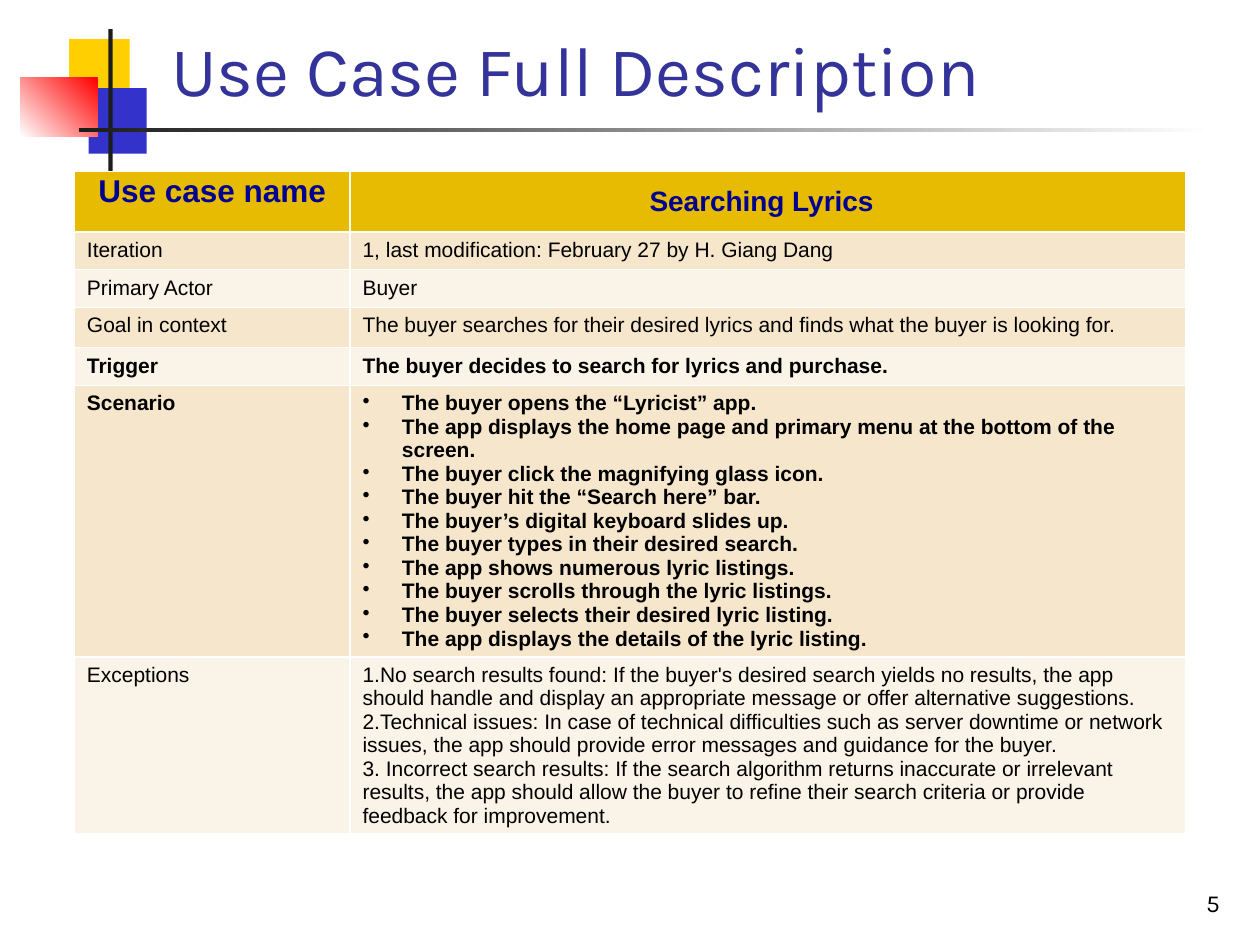
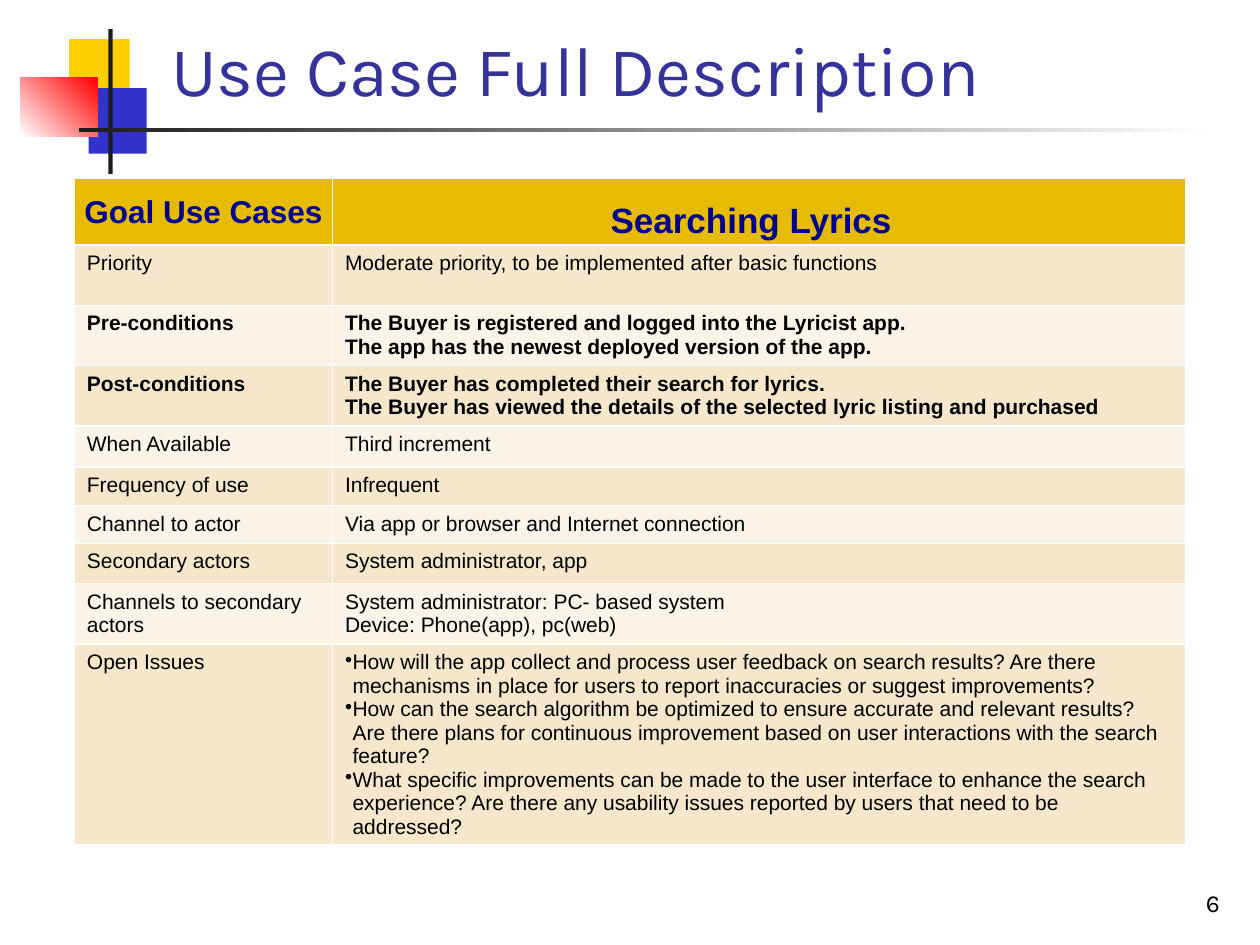
import dataclasses

import lxml.etree
import pptx
import pptx.dml.color
import pptx.enum.shapes
import pptx.enum.text
import pptx.oxml.ns
import pptx.util

Pt = pptx.util.Pt
Align = pptx.enum.text.PP_ALIGN
Anchor = pptx.enum.text.MSO_ANCHOR


@dataclasses.dataclass(frozen=True)
class Theme:
    heading_font: str = "Karla"
    body_font: str = "Arial"
    title_size: float = 40
    number_size: float = 14
    body_size: float = 12
    title: str = "333399"
    text: str = "000000"
    header_text: str = "000090"
    header_fill: str = "E7BB01"
    bands: tuple = ("F6E7CC", "FAF3E7")
    yellow: str = "FFCF01"
    blue: str = "3333CC"
    red: str = "FF0000"
    dark: str = "1C1C1C"
    white: str = "FFFFFF"


@dataclasses.dataclass(frozen=True)
class HeaderCell:
    text: str
    size: float
    anchor: Anchor = Anchor.TOP
    top: float = 0
    right: float = 5


@dataclasses.dataclass(frozen=True)
class Row:
    height: float
    label: str
    lines: tuple
    bold: bool = False
    bullet_indent: tuple = ()  # left margin, first line


@dataclasses.dataclass(frozen=True)
class UseCase:
    number: int
    top: float
    columns: tuple
    header_height: float
    header: tuple
    rows: tuple


THEME = Theme()
TITLE = "Use Case Full Description"
TITLE_BOX = (90.7, 16.6, 613.4, 50.4)
NUMBER_BOX = (554.4, 491.8, 149.8, 36)
MARK_ORIGIN = (11.5, 16.6)
TABLE_LEFT = 42.5

USE_CASES = (
    UseCase(
        5, 98, (157.5, 477.5), 34.5,
        (HeaderCell("Use case name", 18),
         HeaderCell("Searching Lyrics", 16, top=7, right=12)),
        (
            Row(21.6, "Iteration", ("1, last modification: February 27 by H. Giang Dang",)),
            Row(21.6, "Primary Actor", ("Buyer",)),
            Row(23, "Goal in context", (
                "The buyer searches for their desired lyrics and finds what the buyer is looking for.",)),
            Row(21.6, "Trigger", ("The buyer decides to search for lyrics and purchase.",), True),
            Row(154.8, "Scenario", (
                "The buyer opens the “Lyricist” app.",
                "The app displays the home page and primary menu at the bottom of the screen.",
                "The buyer click the magnifying glass icon.",
                "The buyer hit the “Search here” bar.",
                "The buyer’s digital keyboard slides up.",
                "The buyer types in their desired search.",
                "The app shows numerous lyric listings.",
                "The buyer scrolls through the lyric listings.",
                "The buyer selects their desired lyric listing.",
                "The app displays the details of the lyric listing.",
            ), True, (22.5, -22.5)),
            Row(101, "Exceptions", (
                "1.No search results found: If the buyer's desired search yields no results, the app "
                "should handle and display an appropriate message or offer alternative suggestions.",
                "2.Technical issues: In case of technical difficulties such as server downtime or network "
                "issues, the app should provide error messages and guidance for the buyer.",
                "3. Incorrect search results: If the search algorithm returns inaccurate or irrelevant "
                "results, the app should allow the buyer to refine their search criteria or provide "
                "feedback for improvement.")),
        ),
    ),
    UseCase(
        6, 102, (147.5, 487.5), 38,
        (HeaderCell("Goal Use Cases", 18, Anchor.MIDDLE),
         HeaderCell("Searching Lyrics", 20, top=11.5, right=14)),
        (
            Row(34.5, "Priority", ("Moderate priority, to be implemented after basic functions",)),
            Row(34.5, "Pre-conditions", (
                "The Buyer is registered and logged into the Lyricist app.",
                "The app has the newest deployed version of the app."), True),
            Row(34.5, "Post-conditions", (
                "The Buyer has completed their search for lyrics.",
                "The Buyer has viewed the details of the selected lyric listing and purchased"), True),
            Row(23.5, "When Available", ("Third increment",)),
            Row(22, "Frequency of use", ("Infrequent",)),
            Row(21.6, "Channel to actor", ("Via app or browser and Internet connection",)),
            Row(23, "Secondary actors", ("System administrator, app",)),
            Row(34.5, "Channels to secondary actors", (
                "System administrator: PC- based system",
                "Device: Phone(app), pc(web)")),
            Row(114, "Open Issues", (
                "How will the app collect and process user feedback on search results? Are there "
                "mechanisms in place for users to report inaccuracies or suggest improvements?",
                "How can the search algorithm be optimized to ensure accurate and relevant results? "
                "Are there plans for continuous improvement based on user interactions with the "
                "search feature?",
                "What specific improvements can be made to the user interface to enhance the search "
                "experience? Are there any usability issues reported by users that need to be "
                "addressed?"), bullet_indent=(4.3, -8.6)),
        ),
    ),
)


def rgb(value):
    return pptx.dml.color.RGBColor.from_string(value)


def add_run(paragraph, text, size, color, font, bold=False):
    run = paragraph.add_run()
    run.text = text
    run.font.size = Pt(size)
    run.font.name = font
    run.font.bold = bold
    run.font.color.rgb = rgb(color)


def set_bullet(paragraph, left, first_line):
    properties = paragraph._p.get_or_add_pPr()
    properties.set("marL", str(Pt(left)))
    properties.set("indent", str(Pt(first_line)))
    bullet = lxml.etree.SubElement(properties, pptx.oxml.ns.qn("a:buChar"))
    bullet.set("char", "•")


def fill_cell(cell, color):
    cell.fill.solid()
    cell.fill.fore_color.rgb = rgb(color)


def add_block(slide, box, colors, angle=0):
    """Rectangle with one colour, or two for a gradient."""
    shape = slide.shapes.add_shape(
        pptx.enum.shapes.MSO_SHAPE.RECTANGLE, *(Pt(length) for length in box))
    shape.shadow.inherit = False
    shape.line.fill.background()
    if len(colors) == 1:
        shape.fill.solid()
        shape.fill.fore_color.rgb = rgb(colors[0])
        return
    shape.fill.gradient()
    shape.fill.gradient_angle = angle
    for stop, color in zip(shape.fill.gradient_stops, colors):
        stop.color.rgb = rgb(color)


def add_mark(slide, left, top):
    """Overlapping squares, upright bar and fading rule."""
    for (x, y, width, height), colors, angle in (
        ((28, 5.8, 34.6, 37.4), (THEME.yellow,), 0),
        ((39.2, 33.8, 33.1, 37.4), (THEME.blue,), 0),
        ((0, 28, 44.3, 33.5), (THEME.white, THEME.red), 45),
        ((50.4, 0, 2.4, 82.8), (THEME.dark,), 0),
        ((33.4, 56.5, 648, 2.4), (THEME.dark, THEME.white), 0),
    ):
        add_block(slide, (left + x, top + y, width, height), colors, angle)


def format_text_frame(shape, alignment):
    frame = shape.text_frame
    frame.word_wrap = True
    frame.auto_size = pptx.enum.text.MSO_AUTO_SIZE.NONE
    frame.vertical_anchor = Anchor.BOTTOM
    frame.paragraphs[0].alignment = alignment
    return frame.paragraphs[0]


def place_title(slide, box):
    title = slide.shapes.title
    title.left, title.top, title.width, title.height = (Pt(length) for length in box)
    paragraph = format_text_frame(title, Align.LEFT)
    add_run(paragraph, TITLE, THEME.title_size, THEME.title, THEME.heading_font)


def add_number(slide, box, number):
    shape = slide.shapes.add_textbox(*(Pt(length) for length in box))
    paragraph = format_text_frame(shape, Align.RIGHT)
    add_run(paragraph, str(number), THEME.number_size, THEME.text, THEME.heading_font)


def write_header(cell, header):
    fill_cell(cell, THEME.header_fill)
    cell.vertical_anchor = header.anchor
    cell.margin_left, cell.margin_right = Pt(5), Pt(header.right)
    cell.margin_top, cell.margin_bottom = Pt(header.top), Pt(0)
    paragraph = cell.text_frame.paragraphs[0]
    paragraph.alignment = Align.CENTER
    paragraph.line_spacing = 1.07
    add_run(paragraph, header.text, header.size, THEME.header_text, THEME.body_font, True)


def write_body(cell, lines, row, band, bullet_indent=()):
    fill_cell(cell, band)
    frame = cell.text_frame
    for index, line in enumerate(lines):
        paragraph = frame.add_paragraph() if index else frame.paragraphs[0]
        if bullet_indent:
            set_bullet(paragraph, *bullet_indent)
        add_run(paragraph, line, THEME.body_size, THEME.text, THEME.body_font, row.bold)


def add_use_case_table(slide, left, top, use_case):
    heights = [use_case.header_height] + [row.height for row in use_case.rows]
    table = slide.shapes.add_table(
        len(heights), len(use_case.columns), Pt(left), Pt(top),
        Pt(sum(use_case.columns)), Pt(sum(heights))).table
    for column, width in zip(table.columns, use_case.columns):
        column.width = Pt(width)
    for table_row, height in zip(table.rows, heights):
        table_row.height = Pt(height)
    for index, header in enumerate(use_case.header):
        write_header(table.cell(0, index), header)
    for index, row in enumerate(use_case.rows):
        band = THEME.bands[index % 2]
        write_body(table.cell(index + 1, 0), (row.label,), row, band)
        write_body(table.cell(index + 1, 1), row.lines, row, band, row.bullet_indent)


def add_use_case_slide(presentation, use_case):
    slide = presentation.slides.add_slide(presentation.slide_layouts[5])  # title only
    add_mark(slide, *MARK_ORIGIN)
    place_title(slide, TITLE_BOX)
    add_number(slide, NUMBER_BOX, use_case.number)
    add_use_case_table(slide, TABLE_LEFT, use_case.top, use_case)


def main():
    presentation = pptx.Presentation()
    presentation.slide_width, presentation.slide_height = Pt(720), Pt(540)
    for use_case in USE_CASES:
        add_use_case_slide(presentation, use_case)
    presentation.save("out.pptx")


if __name__ == "__main__":
    main()
